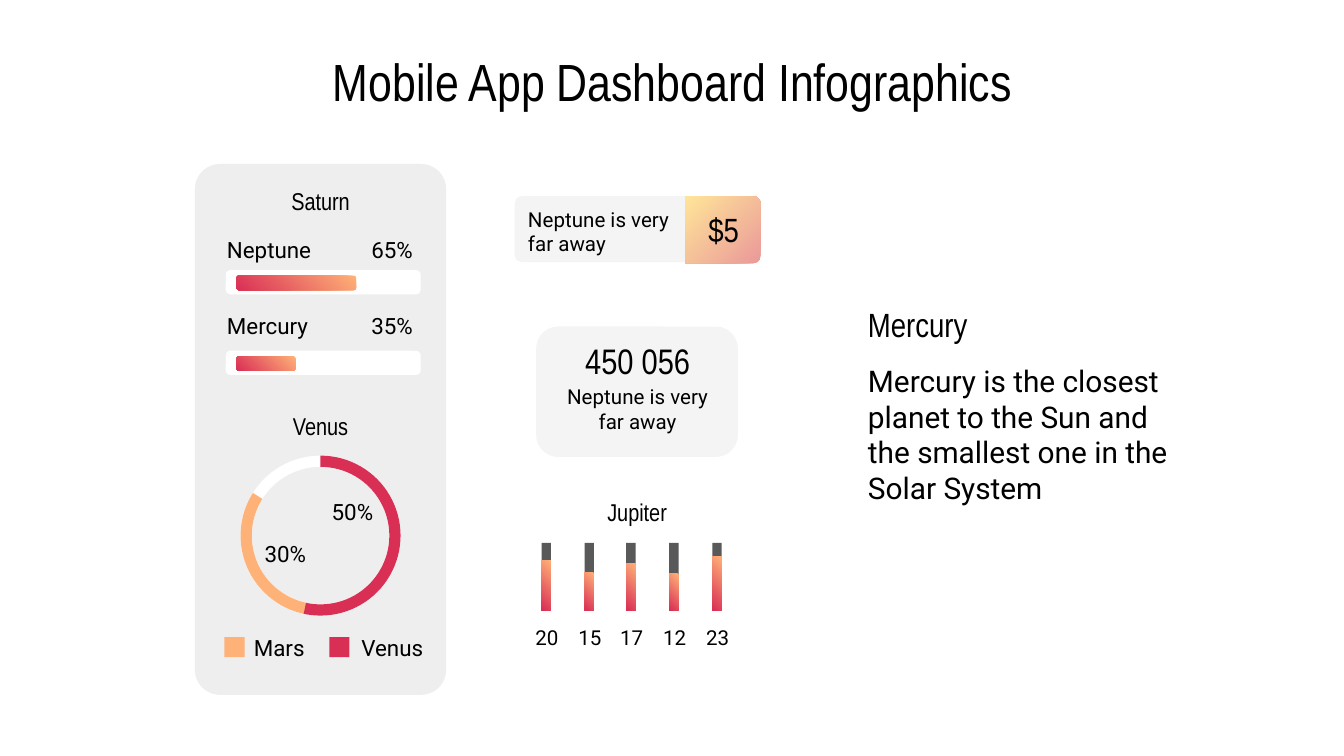
import pptx
import pptx.dml.color
import pptx.enum.shapes
import pptx.enum.text
import pptx.util

RGB = pptx.dml.color.RGBColor
SHAPE = pptx.enum.shapes.MSO_SHAPE
ALIGN = pptx.enum.text.PP_ALIGN
ANCHOR = pptx.enum.text.MSO_ANCHOR

PX = 9144  # EMU per px, 100 px to the inch
BLACK = RGB(0x00, 0x00, 0x00)
WHITE = RGB(0xFF, 0xFF, 0xFF)
PANEL = RGB(0xEE, 0xEE, 0xEE)
CARD = RGB(0xF4, 0xF4, 0xF4)
TRACK = RGB(0x59, 0x59, 0x59)
ORANGE = RGB(0xFF, 0xB2, 0x78)
RED = RGB(0xD9, 0x2F, 0x55)
PINK = RGB(0xEA, 0x99, 0x99)
YELLOW = RGB(0xFF, 0xE5, 0x99)
WARM = (ORANGE, RED)
HEADING = "Arial Narrow"
BODY = "Roboto"


def add_block(slide, kind, box, fill, adjustments=()):
    """Add a preset shape; fill is one colour or a pair for a gradient."""
    block = slide.shapes.add_shape(kind, *(n * PX for n in box))
    block.shadow.inherit = False
    block.line.fill.background()
    for index, value in enumerate(adjustments):
        block.adjustments[index] = value
    if isinstance(fill, RGB):
        block.fill.solid()
        block.fill.fore_color.rgb = fill
    else:
        block.fill.gradient()
        block.fill.gradient_angle = 225
        for stop, colour in zip(block.fill.gradient_stops, fill):
            stop.color.rgb = colour
    return block


def add_label(slide, text, box, size, font=BODY, align=ALIGN.LEFT,
              anchor=ANCHOR.MIDDLE):
    label = slide.shapes.add_textbox(*(n * PX for n in box))
    frame = label.text_frame
    frame.word_wrap = True
    frame.vertical_anchor = anchor
    frame.margin_left = frame.margin_right = 10 * PX
    frame.margin_top = frame.margin_bottom = 10 * PX
    frame.text = text
    paragraph = frame.paragraphs[0]
    paragraph.alignment = align
    run_font = paragraph.runs[0].font
    run_font.name = font
    run_font.size = pptx.util.Pt(size)
    run_font.color.rgb = BLACK
    return paragraph


def add_progress(slide, name, percent, label_top, track_top, width):
    add_block(slide, SHAPE.ROUNDED_RECTANGLE, (168, track_top, 145, 18),
              WHITE, [0.19])
    add_block(slide, SHAPE.ROUNDED_RECTANGLE, (176, track_top + 4, width, 11),
              WARM, [0.19])
    add_label(slide, name, (159, label_top, 91, 27), 12)
    add_label(slide, percent, (265, label_top, 52, 27), 12, align=ALIGN.RIGHT)


def add_ring(slide):
    ring = (179, 339, 119, 119)
    add_block(slide, SHAPE.DONUT, ring, WHITE, [0.07])
    add_block(slide, SHAPE.BLOCK_ARC, ring, ORANGE, [59.99, 127.32, 0.07])
    add_block(slide, SHAPE.BLOCK_ARC, ring, RED, [161.97, 61.32, 0.07])
    add_label(slide, "50%", (237, 366, 53, 29), 12)
    add_label(slide, "30%", (187, 397, 53, 29), 12)


def add_legend(slide, name, colour, left, text_left):
    add_block(slide, SHAPE.RECTANGLE, (left, 474, 15, 15), colour)
    add_label(slide, name, (text_left, 467, 75, 29), 12)


def add_columns(slide, columns):
    for index, (value, height) in enumerate(columns):
        left = round(403 + 31.7 * index)
        add_block(slide, SHAPE.RECTANGLE, (left, 404, 7, 50), TRACK)
        add_block(slide, SHAPE.RECTANGLE, (left, 454 - height, 7, height), WARM)
        add_label(slide, value, (left - 16, 461, 40, 27), 11, align=ALIGN.CENTER)


def main():
    deck = pptx.Presentation()
    deck.slide_width = 1000 * PX
    deck.slide_height = 1000 * PX * 9 // 16
    slide = deck.slides.add_slide(deck.slide_layouts[6])

    # Title
    title = add_label(slide, "Mobile App Dashboard Infographics",
                      (79, 36, 842, 63), 28, HEADING, ALIGN.CENTER, ANCHOR.TOP)
    title.line_spacing = 0.8

    # Left panel: progress bars and ring
    add_block(slide, SHAPE.ROUNDED_RECTANGLE, (145, 122, 187, 395), PANEL, [0.1])
    for heading, top in (("Saturn", 136), ("Venus", 303)):
        add_label(slide, heading, (181, top, 115, 27), 13, HEADING, ALIGN.CENTER)
    add_progress(slide, "Neptune", "65%", 172, 201, 89)
    add_progress(slide, "Mercury", "35%", 229, 261, 44)
    add_ring(slide)
    add_legend(slide, "Mars", ORANGE, 167, 179)
    add_legend(slide, "Venus", RED, 245, 259)

    # Price card
    add_block(slide, SHAPE.ROUNDED_RECTANGLE, (383, 146, 182, 49), CARD, [0.11])
    price = add_block(slide, SHAPE.ROUND_2_SAME_RECTANGLE, (513, 143, 50, 56),
                      (PINK, YELLOW), [0.11, 0])
    price.rotation = 90
    add_label(slide, "$5", (513, 155, 51, 31), 18, HEADING, ALIGN.CENTER)
    add_label(slide, "Neptune is very far away", (383, 148, 128, 48), 11)

    # Counter card
    add_block(slide, SHAPE.ROUNDED_RECTANGLE, (399, 243, 150, 97), CARD, [0.17])
    add_label(slide, "450 056", (408, 255, 133, 27), 19, HEADING, ALIGN.CENTER)
    add_label(slide, "Neptune is very far away", (408, 280, 133, 48), 11,
              align=ALIGN.CENTER)

    # Column gauges
    add_label(slide, "Jupiter", (435, 367, 78, 27), 13, HEADING, ALIGN.CENTER)
    add_columns(slide, [("20", 37), ("15", 28), ("17", 35), ("12", 27), ("23", 40)])

    # Description
    add_label(slide, "Mercury", (636, 224, 245, 34), 18, HEADING)
    add_label(slide, "Mercury is the closest planet to the Sun and the smallest "
              "one in the Solar System", (636, 257, 245, 132), 16)

    deck.save("out.pptx")


if __name__ == "__main__":
    main()
